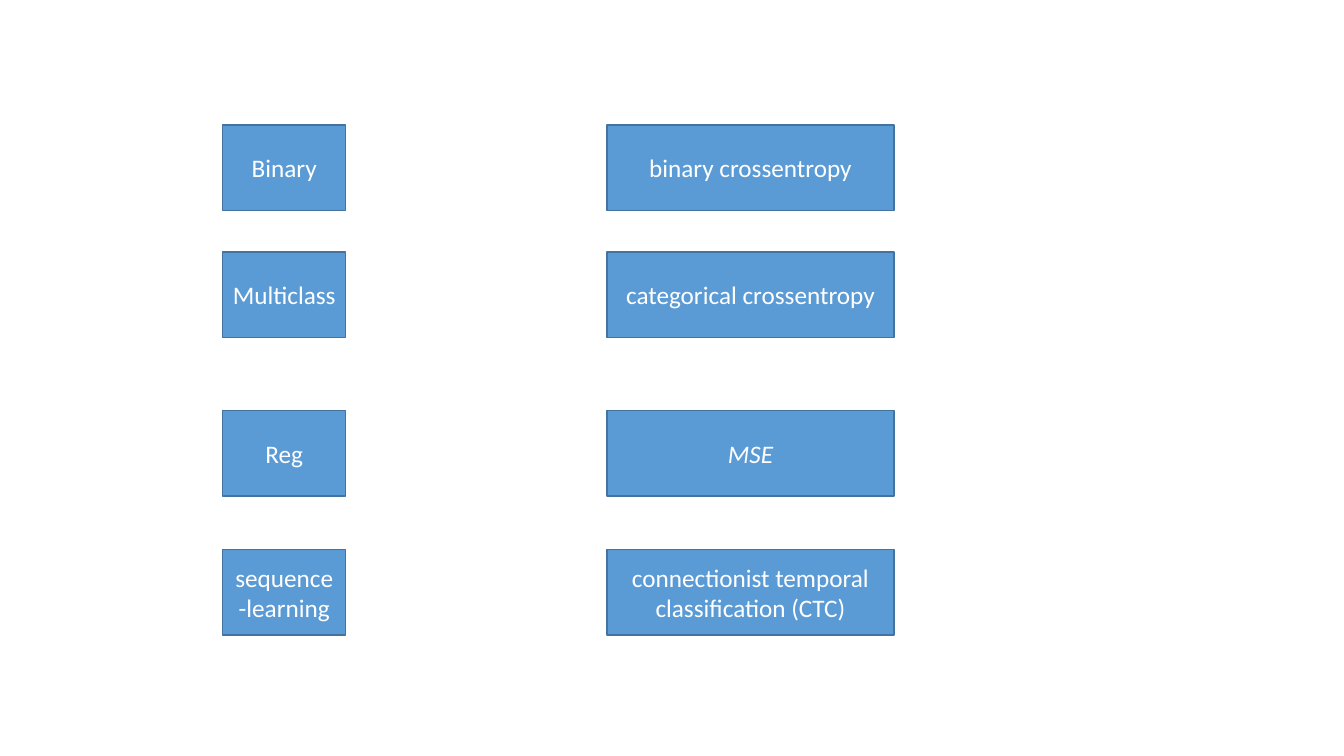
from dataclasses import dataclass

from pptx import Presentation
from pptx.dml.color import RGBColor
from pptx.enum.shapes import MSO_SHAPE
from pptx.enum.text import MSO_ANCHOR, PP_ALIGN
from pptx.slide import Slide
from pptx.util import Pt

RECTANGLE = MSO_SHAPE.RECTANGLE
MIDDLE = MSO_ANCHOR.MIDDLE
CENTER = PP_ALIGN.CENTER
BLANK_LAYOUT = 6


@dataclass(frozen=True)
class Theme:
    fill: RGBColor = RGBColor(0x5B, 0x9B, 0xD5)
    outline: RGBColor = RGBColor(0x43, 0x73, 0x9E)
    text: RGBColor = RGBColor(0xFF, 0xFF, 0xFF)
    font: str = "Calibri"
    text_size: float = 18
    outline_width: float = 1


@dataclass(frozen=True)
class Column:
    left: float
    width: float


@dataclass(frozen=True)
class LossRow:
    top: float
    task: str
    loss: str
    italic_loss: bool = False


THEME = Theme()
TASK_COLUMN = Column(159.12, 87.84)
LOSS_COLUMN = Column(433.44, 205.2)
BOX_HEIGHT = 61.2

# Each learning task with its loss function
ROWS = (
    LossRow(89.28, "Binary", "binary crossentropy"),
    LossRow(180, "Multiclass", "categorical crossentropy"),
    LossRow(293.04, "Reg", "MSE", italic_loss=True),
    LossRow(392.4, "sequence-learning", "connectionist temporal classification (CTC)"),
)


def add_box(slide: Slide, column: Column, top: float, text: str, italic: bool = False) -> None:
    """Draw one filled box with centred text."""
    shape = slide.shapes.add_shape(
        RECTANGLE, Pt(column.left), Pt(top), Pt(column.width), Pt(BOX_HEIGHT)
    )
    shape.shadow.inherit = False
    shape.fill.solid()
    shape.fill.fore_color.rgb = THEME.fill
    shape.line.color.rgb = THEME.outline
    shape.line.width = Pt(THEME.outline_width)

    # Text
    frame = shape.text_frame
    frame.word_wrap = True
    frame.vertical_anchor = MIDDLE
    paragraph = frame.paragraphs[0]
    paragraph.alignment = CENTER
    run = paragraph.add_run()
    run.text = text
    font_format = {"name": THEME.font, "size": Pt(THEME.text_size), "italic": italic}
    for attribute, value in font_format.items():
        setattr(run.font, attribute, value)
    run.font.color.rgb = THEME.text


# Slide
presentation = Presentation()
presentation.slide_width = Pt(960)
presentation.slide_height = Pt(540)
slide = presentation.slides.add_slide(presentation.slide_layouts[BLANK_LAYOUT])

# Task and loss boxes
for row in ROWS:
    add_box(slide, TASK_COLUMN, row.top, row.task)
    add_box(slide, LOSS_COLUMN, row.top, row.loss, row.italic_loss)

presentation.save("out.pptx")
